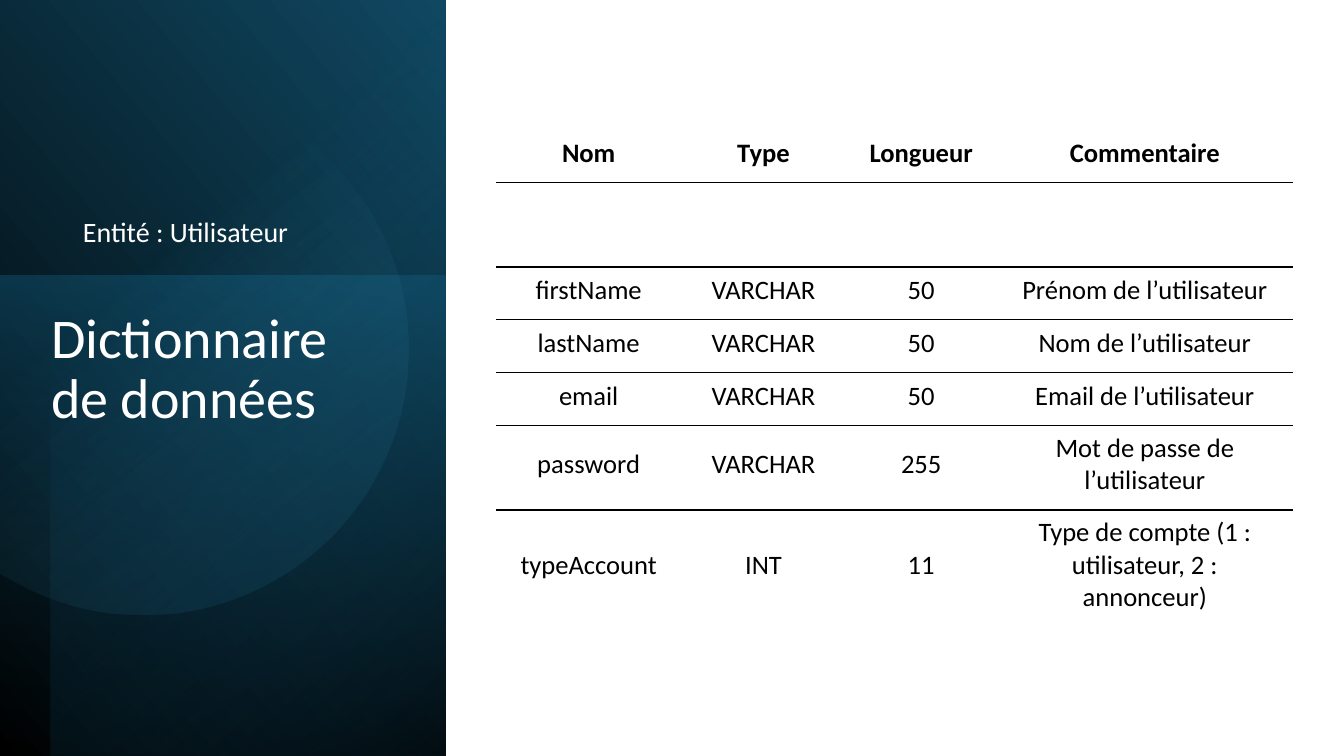
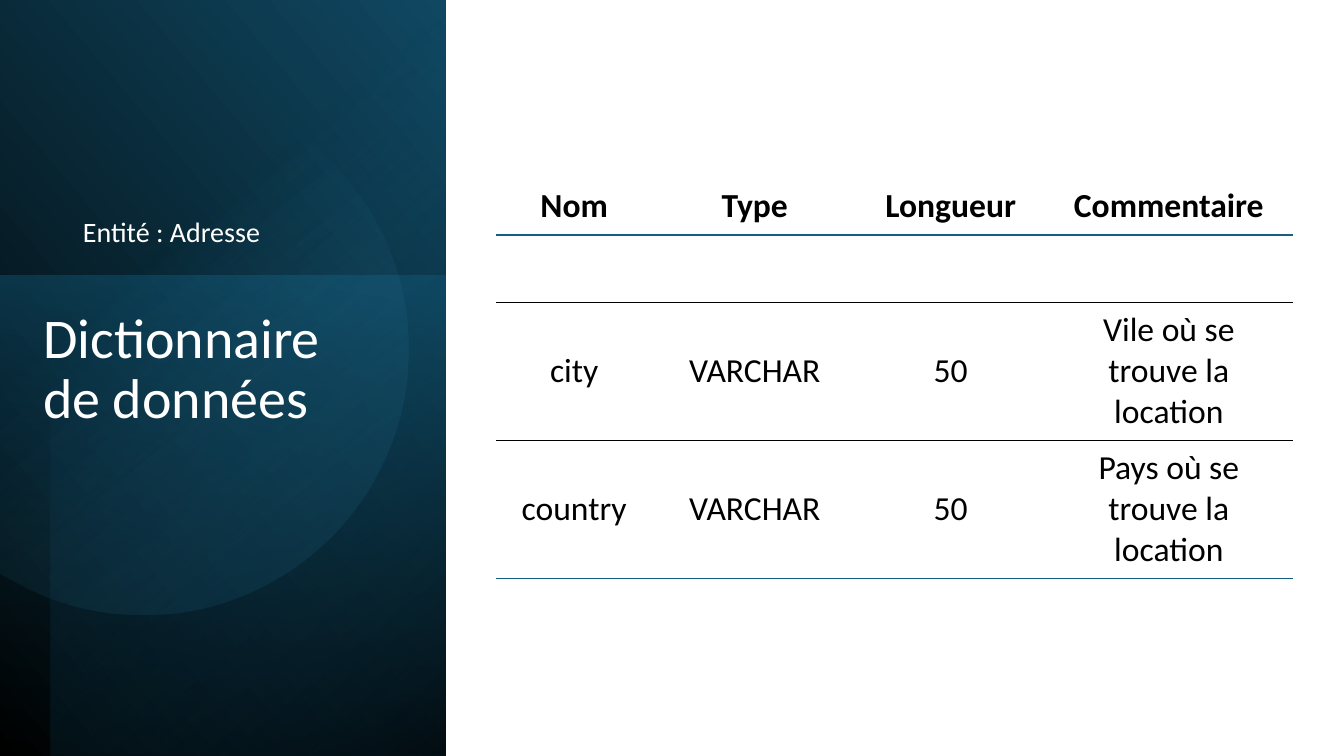
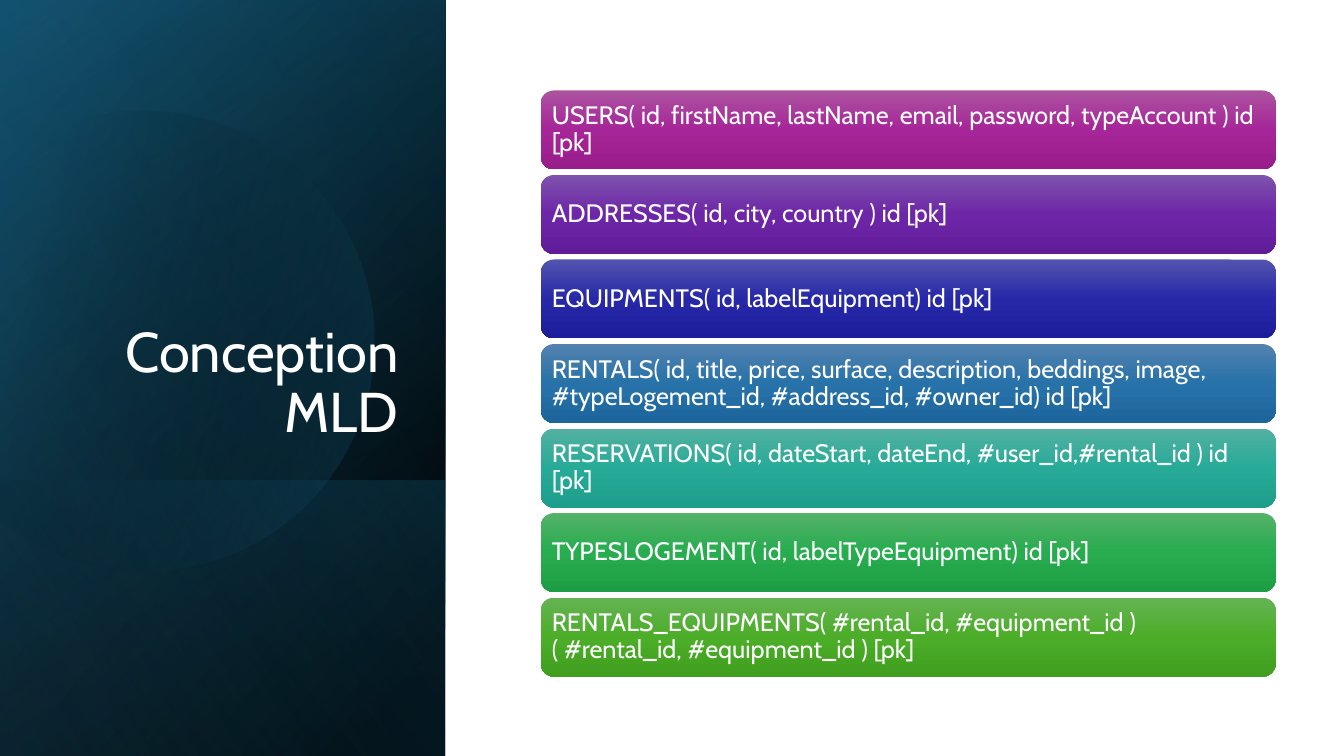
import math
from dataclasses import dataclass
from lxml import etree
from pptx import Presentation
from pptx import util as u
from pptx.dml import color as dml
from pptx.enum import shapes as kinds, text as enum_text
from pptx.oxml import ns

WHITE, BLACK, TEAL = "FFFFFF", "000000", "156082"
NAVY, SKY, DEEP = "104862", "46B1E1", "0B3041"
PANEL_WIDTH, PAGE_HEIGHT = 11.23, 19.05
ANCHOR, ALIGN = enum_text.MSO_ANCHOR, enum_text.PP_ALIGN
RECTANGLE = kinds.MSO_SHAPE.RECTANGLE
ROUNDED = kinds.MSO_SHAPE.ROUNDED_RECTANGLE


@dataclass(frozen=True)
class Stop:
    position: int
    color: str
    opacity: int = 100


@dataclass(frozen=True)
class Gradient:
    angle: int
    stops: tuple[Stop, ...]


@dataclass(frozen=True)
class Box:
    left: float
    top: float
    width: float
    height: float

    def lengths(self) -> list[u.Length]:
        return [u.Cm(value) for value in (self.left, self.top, self.width, self.height)]


@dataclass(frozen=True)
class Band:
    box: Box
    turn: int
    gradient: Gradient
    flipped: bool = True


@dataclass(frozen=True)
class Disc:
    center: tuple[float, float]
    radius: float
    cut: float
    pivot: tuple[float, float]
    turn: float
    gradient: Gradient


@dataclass(frozen=True)
class Rule:
    color: str
    points: float


@dataclass(frozen=True)
class Entity:
    name: str
    title_box: Box
    left: float
    top: float
    columns: tuple[float, ...]
    heights: tuple[float, ...]
    insets: tuple[float, ...]
    size: int
    rules: tuple[Rule | None, ...]
    rows: tuple[tuple[str, ...], ...]


@dataclass(frozen=True)
class Relation:
    text: str
    colors: tuple[str, str, str]


FULL = Box(0, 0, 11.22, PAGE_HEIGHT)
ENTITY_PANEL = (
    Band(Box(0, 0, PANEL_WIDTH, 19.1), 90, Gradient(310, (Stop(0, BLACK), Stop(100, NAVY)))),
    Band(Box(0, 6.94, PANEL_WIDTH, 12.09), 270,
         Gradient(190, (Stop(0, TEAL, 50), Stop(100, DEEP, 0))), flipped=False),
    Band(Box(1.27, 0, 9.96, PAGE_HEIGHT), 270,
         Gradient(220, (Stop(0, BLACK, 59), Stop(69, TEAL, 0)))),
    Disc((3.62, 8.82), 6.68, 0, (4.59, 9.01), 101.6,
         Gradient(310, (Stop(39, SKY, 0), Stop(100, NAVY, 26)))),
)
MODEL_PANEL = (
    Band(FULL, 90, Gradient(50, (Stop(8, BLACK), Stop(100, NAVY)))),
    Band(FULL, 90, Gradient(30, (Stop(0, BLACK, 0), Stop(99, TEAL, 46)))),
    Band(Box(0, 12.1, 11.22, 6.96), 90,
         Gradient(130, (Stop(2, TEAL, 29), Stop(100, BLACK, 30)))),
    Disc((3.64, 8.6), 5.8, -0.38, (4.03, 8.5), 343.9,
         Gradient(30, (Stop(29, BLACK, 0), Stop(100, TEAL, 43)))),
    Band(FULL, 90, Gradient(120, (Stop(0, BLACK, 0), Stop(99, SKY, 11)))),
)

HEADER = ("Nom", "Type", "Longueur", "Commentaire")
GAP_ROW = ("",) * len(HEADER)
ENTITIES = (
    Entity(
        "Utilisateur", Box(1.04, 7.69, 8.92, 8.53), 12.5, 3.27,
        (4.67, 4.14, 3.81, 7.46), (1.33, 2.13, 1.33, 1.33, 1.33, 2.13, 2.92),
        (0.3, 0.15, 0.3, 0.3), 19, (Rule(BLACK, 1),) * 6 + (None,),
        (
            HEADER,
            GAP_ROW,
            ("firstName", "VARCHAR", "50", "Prénom de l’utilisateur"),
            ("lastName", "VARCHAR", "50", "Nom de l’utilisateur"),
            ("email", "VARCHAR", "50", "Email de l’utilisateur"),
            ("password", "VARCHAR", "255", "Mot de passe de l’utilisateur"),
            ("typeAccount", "INT", "11", "Type de compte (1 : utilisateur, 2 : annonceur)"),
        ),
    ),
    Entity(
        "Adresse", Box(0.84, 7.69, 9.12, 8.53), 12.5, 4.47,
        (3.94, 5.16, 4.72, 6.27), (1.45, 1.69, 3.48, 3.49),
        (0.33, 0.18, 0.33, 0.18), 24,
        (Rule(TEAL, 1.5), Rule(BLACK, 0.25), Rule(BLACK, 0.25), Rule(TEAL, 1)),
        (
            HEADER,
            GAP_ROW,
            ("city", "VARCHAR", "50", "Vile où se trouve la location"),
            ("country", "VARCHAR", "50", "Pays où se trouve la location"),
        ),
    ),
)
RELATIONS = (
    Relation("USERS( id, firstName, lastName, email, password, typeAccount ) id [pk]",
             ("AC53A0", "A62598", "991C8B")),
    Relation("ADDRESSES( id, city, country ) id [pk]", ("7E53AD", "6D26A7", "611C9A")),
    Relation("EQUIPMENTS( id, labelEquipment) id [pk]", ("5354AE", "2628A8", "1D1E9B")),
    Relation("RENTALS( id, title, price, surface, description, beddings, image, "
             "#typeLogement_id, #address_id, #owner_id) id [pk]",
             ("5382AF", "2772A9", "1D669C")),
    Relation("RESERVATIONS( id, dateStart, dateEnd, #user_id,#rental_id ) id [pk]",
             ("53B0A1", "27AB98", "1D9D8B")),
    Relation("TYPESLOGEMENT( id, labelTypeEquipment) id [pk]", ("54B269", "27AC4F", "1E9E44")),
    Relation("RENTALS_EQUIPMENTS( #rental_id, #equipment_id ) ( #rental_id, #equipment_id ) [pk]",
             ("66B354", "4BAD28", "409F1E")),
)


def rgb(value: str) -> dml.RGBColor:
    return dml.RGBColor.from_string(value)


def apply(target, formats: dict) -> None:
    for name, value in formats.items():
        setattr(target, name, value)


def child(parent, tag: str, **attributes):
    return etree.SubElement(parent, ns.qn(tag), attributes)


def paint(shape, gradient: Gradient) -> None:
    shape.shadow.inherit = False
    shape.line.fill.background()
    shape.fill.gradient()
    fill = shape._element.spPr.find(ns.qn("a:gradFill"))
    for old in list(fill):
        fill.remove(old)
    stops = child(fill, "a:gsLst")
    for stop in gradient.stops:
        entry = child(stops, "a:gs", pos=str(stop.position * 1000))
        tone = child(entry, "a:srgbClr", val=stop.color)
        if stop.opacity < 100:
            child(tone, "a:alpha", val=str(stop.opacity * 1000))
    child(fill, "a:lin", ang=str(gradient.angle * 60000), scaled="0")


def write(frame, content: str, font: dict, color: str, paragraph_format: dict) -> None:
    paragraph = frame.paragraphs[0]
    apply(paragraph, paragraph_format)
    run = paragraph.add_run()
    run.text = content
    apply(run.font, font)
    run.font.color.rgb = rgb(color)


def add_label(slide, box: Box, content: str, font: dict, anchor=ANCHOR.TOP, align=ALIGN.LEFT,
              space_before: int = 0) -> None:
    frame = slide.shapes.add_textbox(*box.lengths()).text_frame
    apply(frame, {"word_wrap": True, "vertical_anchor": anchor})
    write(frame, content, font, WHITE,
          {"alignment": align, "line_spacing": 0.9, "space_before": u.Pt(space_before)})


def add_band(slide, band: Band) -> None:
    box = band.box
    shift = (box.width - box.height) / 2
    frame = Box(box.left + shift, box.top - shift, box.height, box.width)
    shape = slide.shapes.add_shape(RECTANGLE, *frame.lengths())
    shape.rotation = band.turn
    if band.flipped:
        shape._element.spPr.get_or_add_xfrm().set("flipH", "1")
    paint(shape, band.gradient)


def arc_points(disc: Disc) -> list[tuple[u.Length, u.Length]]:
    turn = math.radians(disc.turn)
    half = math.acos((disc.cut - disc.center[0]) / disc.radius)
    offset_x = disc.center[0] - disc.pivot[0]
    offset_y = disc.center[1] - disc.pivot[1]
    center_x = disc.pivot[0] + offset_x * math.cos(turn) + offset_y * math.sin(turn)
    center_y = disc.pivot[1] - offset_x * math.sin(turn) + offset_y * math.cos(turn)

    def place(angle: float, handle: float = 0) -> tuple[u.Length, u.Length]:
        return (u.Cm(center_x + disc.radius * (math.cos(angle) - handle * math.sin(angle))),
                u.Cm(center_y + disc.radius * (math.sin(angle) + handle * math.cos(angle))))

    first, last = -turn - half, -turn + half
    quarter = math.pi / 2
    inner = range(math.ceil(first / quarter), math.floor(last / quarter) + 1)
    angles = [first, *(index * quarter for index in inner), last]
    points = [place(first)]
    for start, end in zip(angles, angles[1:]):
        handle = 4 / 3 * math.tan((end - start) / 4)
        points += [place(start, handle), place(end, -handle), place(end)]
    return points


def curve_outline(shape) -> None:
    outline = next(shape._element.iter(ns.qn("a:path")))
    lines = outline.findall(ns.qn("a:lnTo"))
    for index in range(0, len(lines), 3):
        curve = etree.Element(ns.qn("a:cubicBezTo"))
        lines[index].addprevious(curve)
        for line in lines[index:index + 3]:
            curve.append(line[0])
            outline.remove(line)


def add_disc(slide, disc: Disc) -> None:
    points = arc_points(disc)
    builder = slide.shapes.build_freeform(*points[0])
    builder.add_line_segments(points[1:], close=False)
    shape = builder.convert_to_shape()
    curve_outline(shape)
    shape.rotation = disc.turn
    paint(shape, disc.gradient)


def add_panel(slide, parts: tuple[Band | Disc, ...]) -> None:
    for part in parts:
        if isinstance(part, Band):
            add_band(slide, part)
        else:
            add_disc(slide, part)


def set_borders(cell, above: Rule | None, below: Rule | None) -> None:
    properties = cell._tc.get_or_add_tcPr()
    sides = (("a:lnL", None), ("a:lnR", None), ("a:lnT", above), ("a:lnB", below))
    for index, (tag, rule) in enumerate(sides):
        line = etree.Element(ns.qn(tag))
        if rule:
            line.set("w", str(u.Pt(rule.points)))
            child(child(line, "a:solidFill"), "a:srgbClr", val=rule.color)
        else:
            child(line, "a:noFill")
        properties.insert(index, line)


def add_fields(slide, entity: Entity) -> None:
    box = Box(entity.left, entity.top, sum(entity.columns), sum(entity.heights))
    table = slide.shapes.add_table(
        len(entity.rows), len(entity.columns), *box.lengths()).table
    apply(table, {"first_row": False, "horz_banding": False})
    for column, width in zip(table.columns, entity.columns):
        column.width = u.Cm(width)
    margins = dict(zip(("margin_left", "margin_top", "margin_right", "margin_bottom"),
                       map(u.Cm, entity.insets)))
    for row_index, values in enumerate(entity.rows):
        table.rows[row_index].height = u.Cm(entity.heights[row_index])
        above = entity.rules[row_index - 1] if row_index else None
        font = {"name": "Calibri", "size": u.Pt(entity.size), "bold": row_index == 0}
        for column_index, value in enumerate(values):
            cell = table.cell(row_index, column_index)
            apply(cell, {"vertical_anchor": ANCHOR.MIDDLE, **margins})
            cell.fill.background()
            set_borders(cell, above, entity.rules[row_index])
            if value:
                write(cell.text_frame, value, font, BLACK, {"alignment": ALIGN.CENTER})


def add_relation(slide, relation: Relation, index: int) -> None:
    box = Box(13.63, 2.28 + index * 2.13, 18.52, 1.99)
    shape = slide.shapes.add_shape(ROUNDED, *box.lengths())
    paint(shape, Gradient(90, tuple(
        Stop(position * 50, tone) for position, tone in enumerate(relation.colors))))
    frame = shape.text_frame
    inset = u.Cm(0.18)
    apply(frame, {"word_wrap": True, "vertical_anchor": ANCHOR.MIDDLE,
                  "margin_left": inset, "margin_right": inset,
                  "margin_top": inset, "margin_bottom": inset})
    write(frame, relation.text, {"name": "Cabin", "size": u.Pt(18)}, WHITE,
          {"alignment": ALIGN.LEFT, "line_spacing": 0.9})


def title_font(name: str) -> dict:
    return {"name": name, "size": u.Pt(40)}


def build_entity(slide, entity: Entity) -> None:
    add_panel(slide, ENTITY_PANEL)
    add_label(slide, entity.title_box, "Dictionnaire de données", title_font("Calibri"))
    add_label(slide, Box(1.84, 2.24, 8.1, 4.14), f"Entité : {entity.name}",
              {"name": "Calibri", "size": u.Pt(20)}, ANCHOR.BOTTOM, space_before=10)
    add_fields(slide, entity)


def build_model(slide) -> None:
    add_panel(slide, MODEL_PANEL)
    add_label(slide, Box(1.63, 4.69, 8.66, 6.65), "Conception MLD", title_font("Cabin"),
              ANCHOR.BOTTOM, ALIGN.RIGHT)
    for index, relation in enumerate(RELATIONS):
        add_relation(slide, relation, index)


def main() -> None:
    presentation = Presentation()
    apply(presentation, {"slide_width": u.Cm(33.87), "slide_height": u.Cm(PAGE_HEIGHT)})
    blank = presentation.slide_layouts[6]
    for entity in ENTITIES:
        build_entity(presentation.slides.add_slide(blank), entity)
    build_model(presentation.slides.add_slide(blank))
    presentation.save("out.pptx")


if __name__ == "__main__":
    main()
